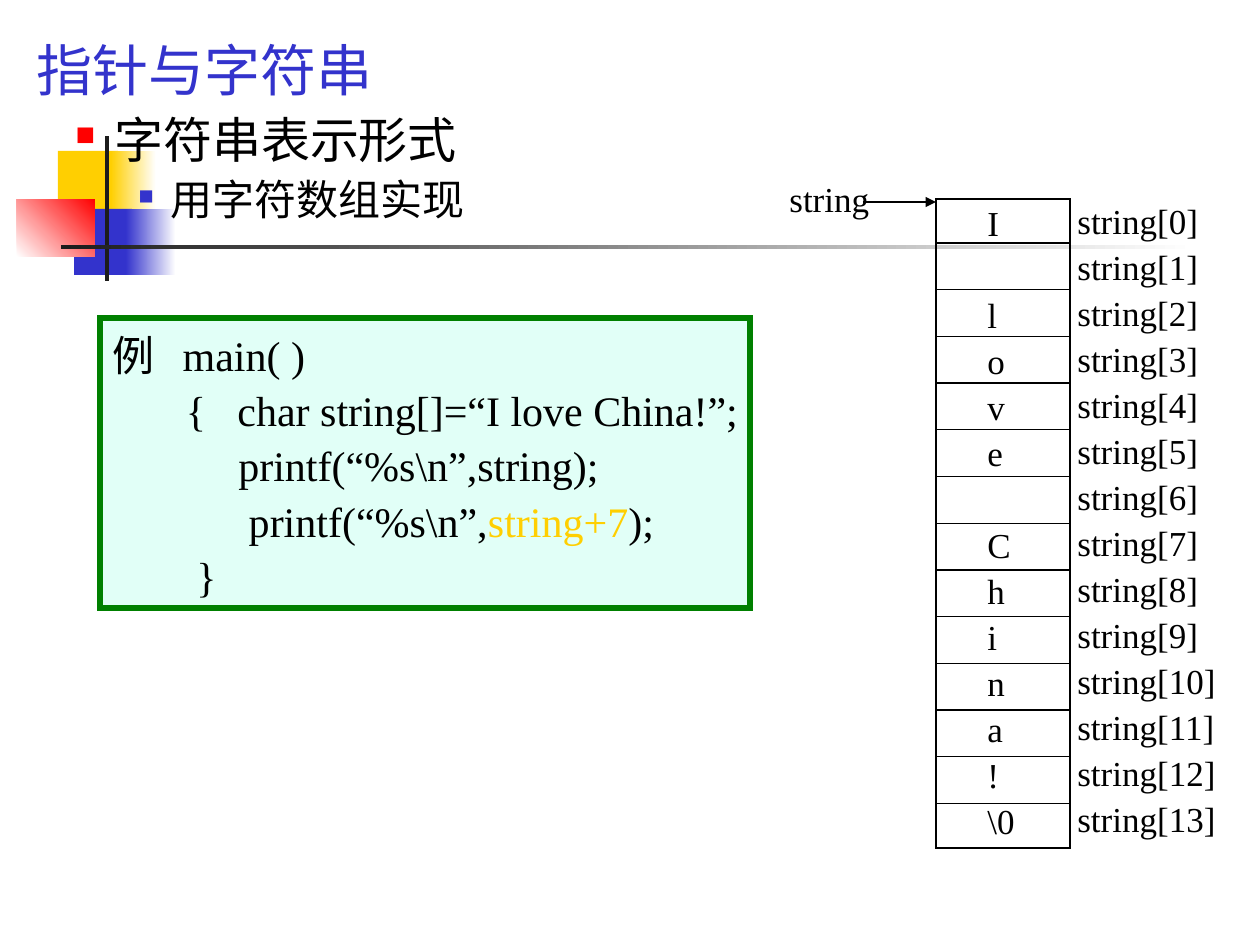
from lxml import etree
from pptx import Presentation
from pptx import util as u
from pptx.dml.color import RGBColor
from pptx.enum import shapes, text
from pptx.oxml.ns import qn

PX = 914400 / 126
COLORS = {"black": "000000", "white": "FFFFFF", "gold": "FFCF01", "blue": "3333CC",
          "red": "FF0000", "dark": "1C1C1C", "green": "008000", "mint": "E1FFF7"}
SERIF = "Times New Roman"

DECOR = [
    ((58, 151, 60, 66), ["gold"], 0),
    ((111, 151, 45, 66), ["gold", "white"], 0),
    ((74, 209, 58, 66), ["blue"], 0),
    ((126, 209, 50, 66), ["blue", "white"], 0),
    ((17, 199, 78, 58), ["white", "red"], 45),
    ((105, 136, 4, 145), ["dark"], 0),
    ((61, 245, 1134, 4), ["dark", "white"], 0),
]
OUTLINE = [
    ("指针与字符串", 32, "blue", 0, 24, 0, None),
    ("字符串表示形式", 28, "black", 7, 102, -39, ("red", 55)),
    ("用字符数组实现", 24, "black", 6, 158, -32, ("blue", 50)),
]
CODE = [
    [("例   main( )", "black")],
    [("       {   char string[]=“I love China!”;", "black")],
    [("            printf(“%s\\n”,string);", "black")],
    [("             printf(“%s\\n”,", "black"), ("string+7", "gold"), (");", "black")],
    [("        }", "black")],
]
CELLS = [("I", 37), None, ("l", 35), ("o", 43), ("v", 43), ("e", 41), None, ("C", 49),
         ("h", 43), ("i", 35), ("n", 43), ("a", 41), ("!", 37), ("\\0", 54)]
ARRAY = (936, 199, 134, 649)
ROW, DIVIDER_TOP, DIVIDER_STEP = 46, 243, 46.7


def px(*values):
    return [u.Emu(round(v * PX)) for v in values]


def rgb(name):
    return RGBColor.from_string(COLORS[name])


def add_rect(s, box, fills=(), angle=0, line=None, width=0.75):
    sp = s.shapes.add_shape(shapes.MSO_SHAPE.RECTANGLE, *px(*box))
    sp.shadow.inherit = False
    if len(fills) == 2:
        sp.fill.gradient()
        sp.fill.gradient_angle = angle
        for stop, name in zip(sp.fill.gradient_stops, fills):
            stop.color.rgb = rgb(name)
    elif fills:
        sp.fill.solid()
        sp.fill.fore_color.rgb = rgb(fills[0])
    else:
        sp.fill.background()
    if line:
        sp.line.color.rgb = rgb(line)
        sp.line.width = u.Pt(width)
        etree.SubElement(sp.line._get_or_add_ln(), qn("a:miter"), lim="800000")
    else:
        sp.line.fill.background()
    return sp


def add_line(s, x1, y1, x2, y2, arrow=False):
    c = s.shapes.add_connector(shapes.MSO_CONNECTOR.STRAIGHT, *px(x1, y1, x2, y2))
    c.line.color.rgb = rgb("black")
    c.line.width = u.Pt(0.75)
    if arrow:
        etree.SubElement(c.line._get_or_add_ln(), qn("a:tailEnd"), type="triangle")
    etree.SubElement(c._element.spPr, qn("a:effectLst"))


def style(font, name, size, color):
    font.name = name
    font.size = u.Pt(size)
    font.color.rgb = rgb(color)


def add_label(s, label, x, y, w):
    tf = s.shapes.add_textbox(*px(x, y, w, 55)).text_frame
    tf.word_wrap = False
    tf.auto_size = text.MSO_AUTO_SIZE.SHAPE_TO_FIT_TEXT
    tf.text = label
    style(tf.paragraphs[0].runs[0].font, SERIF, 20, "black")


def paragraphs(tf, count):
    return [tf.paragraphs[0]] + [tf.add_paragraph() for _ in range(count - 1)]


def add_outline(s):
    tf = s.shapes.add_textbox(*px(0, 37, 1186, 208)).text_frame
    tf.word_wrap = True
    for p, (words, size, color, before, margin, indent, bullet) in zip(
            paragraphs(tf, len(OUTLINE)), OUTLINE):
        p.text = words
        p.line_spacing = 0.9
        p.space_before = u.Pt(before)
        pPr = p._p.get_or_add_pPr()
        left, first = px(margin, indent)
        pPr.set("marL", str(left))
        pPr.set("indent", str(first))
        if bullet:
            name, percent = bullet
            clr = etree.SubElement(pPr, qn("a:buClr"))
            etree.SubElement(clr, qn("a:srgbClr"), val=COLORS[name])
            etree.SubElement(pPr, qn("a:buSzPct"), val=str(percent * 1000))
            etree.SubElement(pPr, qn("a:buChar"), char="■")
        style(p.runs[0].font, "Karla", size, color)


def add_code(s):
    tf = add_rect(s, (100, 318, 650, 290), ["mint"], line="green", width=3).text_frame
    tf.word_wrap = False
    tf.vertical_anchor = text.MSO_ANCHOR.TOP
    for p, parts in zip(paragraphs(tf, len(CODE)), CODE):
        p.alignment = text.PP_ALIGN.LEFT
        p.line_spacing = 1.1
        for words, color in parts:
            r = p.add_run()
            r.text = words
            style(r.font, SERIF, 24, color)


def add_array(s):
    left, top, width, _ = ARRAY
    add_label(s, "string", 777, 171, 105)
    add_line(s, 863, 202, left, 202, arrow=True)
    add_rect(s, ARRAY, line="black")
    for i, cell in enumerate(CELLS):
        if cell:
            add_label(s, cell[0], 975, 195 + i * ROW, cell[1])
        add_label(s, f"string[{i}]", 1065, 193 + i * ROW, 146 if i < 10 else 164)
        if i < len(CELLS) - 1:
            y = DIVIDER_TOP + i * DIVIDER_STEP
            add_line(s, left, y, left + width, y)


def main():
    prs = Presentation()
    prs.slide_width, prs.slide_height = px(1260, 945)
    s = prs.slides.add_slide(prs.slide_layouts[6])
    for box, fills, angle in DECOR:
        add_rect(s, box, fills, angle)
    add_outline(s)
    add_code(s)
    add_array(s)
    prs.save("out.pptx")


if __name__ == "__main__":
    main()
